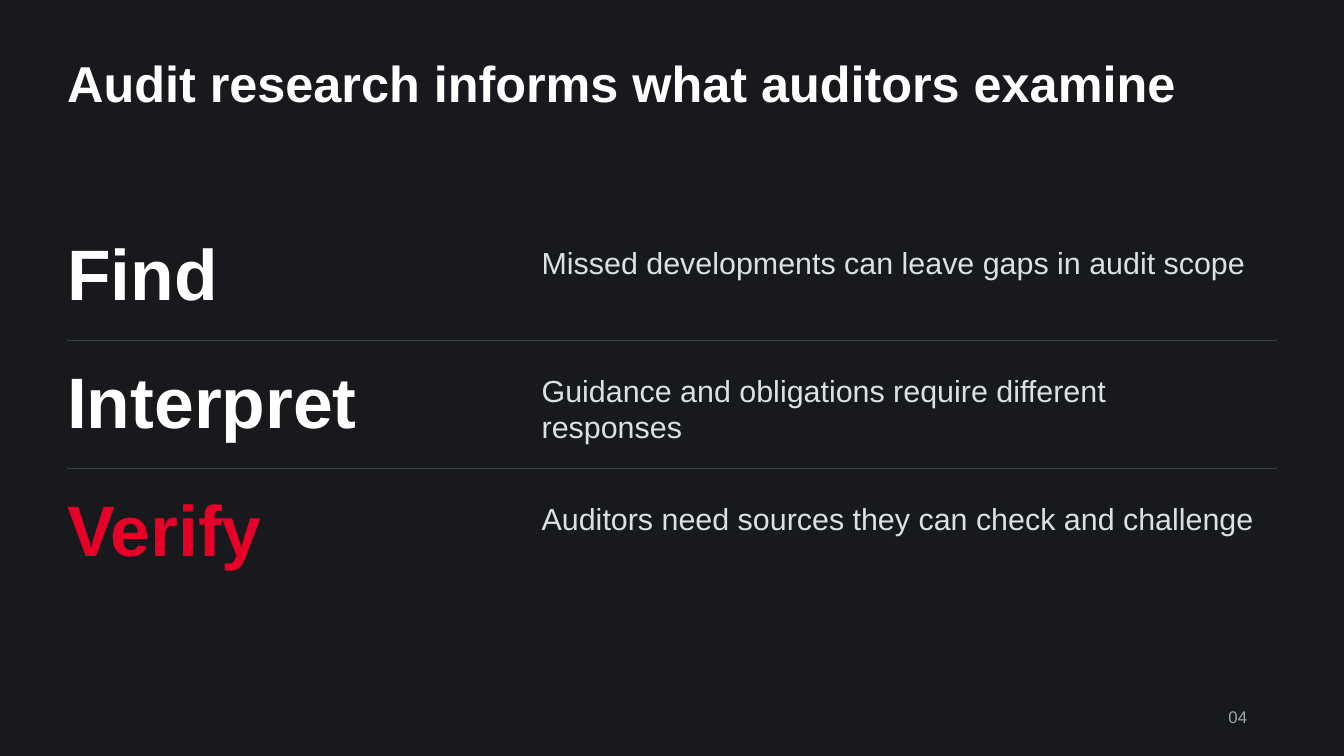
from pptx import Presentation
from pptx.dml.color import RGBColor
from pptx.enum.shapes import MSO_CONNECTOR
from pptx.enum.text import MSO_ANCHOR, MSO_AUTO_SIZE, PP_ALIGN
from pptx.oxml.ns import qn
from pptx.util import Inches, Pt

BACKGROUND = RGBColor(0x17, 0x19, 0x1D)
WHITE = RGBColor(0xFF, 0xFF, 0xFF)
RED = RGBColor(0xE6, 0x00, 0x28)
PALE = RGBColor(0xDC, 0xE0, 0xE5)
GREY = RGBColor(0x9F, 0xA6, 0xAE)
RULE = RGBColor(0x3B, 0x3F, 0x46)

# Content
TITLE = "Audit research informs what auditors examine"
STEPS = [
    ("Find", "Missed developments can leave gaps in audit scope", WHITE),
    ("Interpret", "Guidance and obligations require different responses", WHITE),
    ("Verify", "Auditors need sources they can check and challenge", RED),
]
PAGE_NUMBER = "04"

# Grid, in inches
SLIDE_W, SLIDE_H = 20, 11.25
MARGIN = 1
CONTENT_W = SLIDE_W - 2 * MARGIN
STEP_W, DETAIL_X, DETAIL_W = 6.09, 8.06, 10.62
FIRST_ROW, ROW_PITCH = 3.41, 1.905
DETAIL_DROP, RULE_DROP = 0.22, 1.65
LINE_SPACING = 1.2


def format_text(shape, text, box, size, color, bold=False):
    shape.left, shape.top, shape.width, shape.height = map(Inches, box)
    frame = shape.text_frame
    frame.text = text
    frame.word_wrap = True
    frame.auto_size = MSO_AUTO_SIZE.NONE
    frame.vertical_anchor = MSO_ANCHOR.TOP
    frame.margin_left = frame.margin_right = 0
    frame.margin_top = frame.margin_bottom = 0
    paragraph = frame.paragraphs[0]
    paragraph.alignment = PP_ALIGN.LEFT
    paragraph.line_spacing = Pt(size * LINE_SPACING)
    font = paragraph.font
    font.name, font.size, font.bold = "Arial", Pt(size), bold
    font.color.rgb = color


def add_text(slide, text, box, size, color, bold=False):
    format_text(slide.shapes.add_textbox(0, 0, 0, 0), text, box, size, color, bold)


def add_rule(slide, y):
    rule = slide.shapes.add_connector(
        MSO_CONNECTOR.STRAIGHT, Inches(MARGIN), Inches(y),
        Inches(MARGIN + CONTENT_W), Inches(y))
    rule.line.color.rgb = RULE
    rule.line.width = Pt(1)
    properties = rule.element.spPr
    properties.append(properties.makeelement(qn("a:effectLst"), {}))


def main():
    deck = Presentation()
    deck.slide_width, deck.slide_height = Inches(SLIDE_W), Inches(SLIDE_H)
    slide = deck.slides.add_slide(deck.slide_layouts[5])
    slide.background.fill.solid()
    slide.background.fill.fore_color.rgb = BACKGROUND

    # Title and page number
    format_text(slide.shapes.title, TITLE, (MARGIN, 0.78, CONTENT_W, 1.97),
                54, WHITE, bold=True)
    add_text(slide, PAGE_NUMBER, (18.28, 10.51, 0.75, 0.41), 18, GREY)

    # Steps, with a rule between neighbours
    for row, (step, detail, color) in enumerate(STEPS):
        top = FIRST_ROW + row * ROW_PITCH
        add_text(slide, step, (MARGIN, top, STEP_W, 1.36), 76.5, color, bold=True)
        add_text(slide, detail, (DETAIL_X, top + DETAIL_DROP, DETAIL_W, 1.28),
                 32.6, PALE)
        if row < len(STEPS) - 1:
            add_rule(slide, top + RULE_DROP)

    deck.save("out.pptx")


if __name__ == "__main__":
    main()
